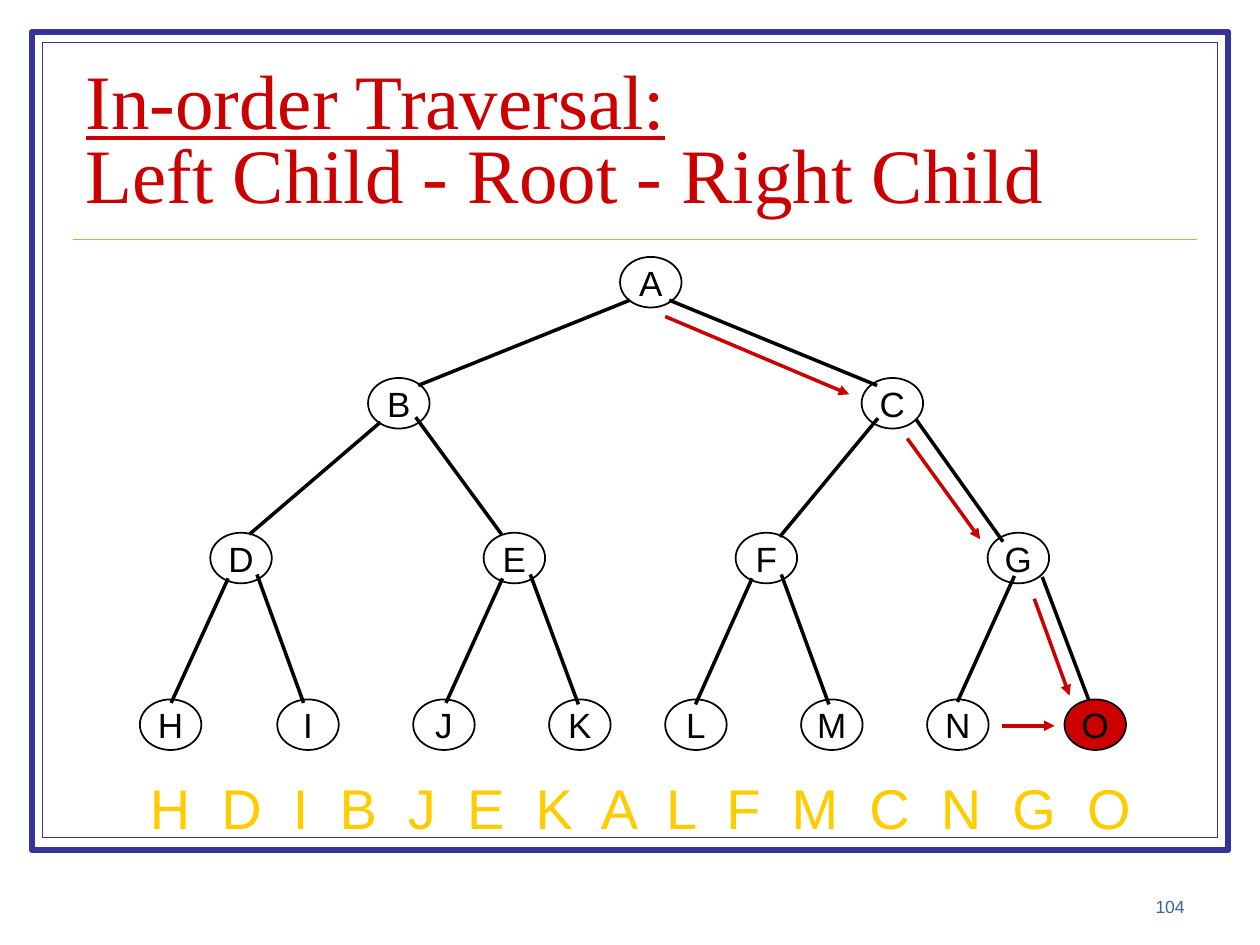
from lxml import etree
from pptx import Presentation
from pptx.dml.color import RGBColor
from pptx.enum.shapes import MSO_CONNECTOR, MSO_SHAPE
from pptx.enum.text import MSO_ANCHOR, MSO_AUTO_SIZE, PP_ALIGN
from pptx.oxml import parse_xml
from pptx.oxml.ns import nsdecls, qn
from pptx.util import Cm, Pt

COLORS = {
    "white": "FFFFFF", "black": "000000", "navy": "333399", "orange": "FF9933",
    "red": "CC0000", "yellow": "FFCC00", "blue": "336699",
}
RGB = {name: RGBColor.from_string(value) for name, value in COLORS.items()}


def add_line(ends, color, width, arrow=False):
    line = s.shapes.add_connector(MSO_CONNECTOR.STRAIGHT, *[Cm(v) for v in ends])
    line.line.color.rgb = RGB[color]
    line.line.width = Pt(width)
    if arrow:
        etree.SubElement(line.line._get_or_add_ln(), qn("a:tailEnd"), type="triangle")
    etree.SubElement(line.element.spPr, qn("a:effectLst"))


def style_run(r, font, size, color):
    r.font.name = font
    r.font.size = Pt(size)
    r.font.color.rgb = RGB[color]


prs = Presentation()
prs.slide_width, prs.slide_height = Cm(25.4), Cm(19.05)
s = prs.slides.add_slide(prs.slide_layouts[5])

# Double frame and rule under the title
for inset, bottom, weight in [(0.64, 17.14, 3.5), (0.86, 16.89, 0.75)]:
    frame = s.shapes.add_shape(MSO_SHAPE.RECTANGLE, Cm(inset), Cm(inset),
                               Cm(25.4 - 2 * inset), Cm(bottom - inset))
    frame.shadow.inherit = False
    frame.fill.solid()
    frame.fill.fore_color.rgb = RGB["white"]
    frame.line.color.rgb = RGB["navy"]
    frame.line.width = Pt(weight)
add_line((1.47, 4.83, 24.13, 4.83), "orange", 1)

# Title, raised above the frame
title = s.shapes.title
title.element.getparent().append(title.element)
title.left, title.top, title.width, title.height = Cm(1.47), Cm(1.32), Cm(22.66), Cm(3.18)
tf = title.text_frame
tf.text = "In-order Traversal:\vLeft Child - Root - Right Child"
tf.auto_size = MSO_AUTO_SIZE.NONE
tf.vertical_anchor = MSO_ANCHOR.MIDDLE
p = tf.paragraphs[0]
p.alignment = PP_ALIGN.LEFT
p.line_spacing = 0.8
for r in p.runs:
    style_run(r, "Times New Roman", 44, "red")
p.runs[0].font.underline = True

# Edge to the last node, behind the nodes
add_line((21.01, 11.63, 21.97, 14.17), "black", 2)

# Tree nodes: top of each level, then label and left of each node
levels = [
    (5.18, {"A": 12.5}),
    (7.62, {"B": 7.42, "C": 17.37}),
    (10.74, {"D": 4.24, "E": 9.75, "F": 14.83, "G": 19.91}),
    (14.1, {"H": 2.82, "I": 5.59, "J": 8.33, "K": 11.07,
            "L": 13.41, "M": 16.15, "N": 18.69, "O": 21.46}),
]
for top, nodes in levels:
    for label, left in nodes.items():
        node = s.shapes.add_shape(MSO_SHAPE.OVAL, Cm(left), Cm(top), Cm(1.24), Cm(1.02))
        node.shadow.inherit = False
        node.fill.solid()
        node.fill.fore_color.rgb = RGB["red" if label == "O" else "white"]
        node.line.color.rgb = RGB["black"]
        node.line.width = Pt(1)
        tf = node.text_frame
        tf.margin_left = tf.margin_right = tf.margin_top = tf.margin_bottom = 0
        tf.word_wrap = False
        tf.vertical_anchor = MSO_ANCHOR.MIDDLE
        tf.text = label
        p = tf.paragraphs[0]
        p.alignment = PP_ALIGN.CENTER
        style_run(p.runs[0], "Arial", 20, "black")

# Remaining edges, parent to child
edges = [
    (12.7, 6.05, 8.43, 7.77), (13.49, 6.05, 17.68, 7.77),
    (7.67, 8.51, 5.03, 10.77), (17.7, 8.43, 15.72, 10.82),
    (18.47, 8.46, 20.22, 10.92), (8.38, 8.41, 10.11, 10.77),
    (4.6, 11.66, 3.45, 14.17), (10.13, 11.66, 8.99, 14.17),
    (15.16, 11.66, 14.02, 14.2), (20.45, 11.61, 19.3, 14.15),
    (5.18, 11.58, 6.12, 14.17), (10.69, 11.58, 11.66, 14.2),
    (15.75, 11.58, 16.71, 14.2),
]
for ends in edges:
    add_line(ends, "black", 2)

# Traversal steps
steps = [
    (20.85, 12.07, 21.56, 14.02), (13.41, 6.38, 17.12, 7.95),
    (18.29, 8.84, 19.76, 10.87), (20.19, 14.63, 21.26, 14.63),
]
for ends in steps:
    add_line(ends, "red", 2, arrow=True)

# Visit order, letter-spaced and shadowed
order = s.shapes.add_textbox(Cm(2.69), Cm(15.47), Cm(20.47), Cm(1.6))
tf = order.text_frame
tf.word_wrap = False
tf.text = "H D I B J E K A L F M C N G O"
p = tf.paragraphs[0]
p.alignment = PP_ALIGN.CENTER
r = p.runs[0]
style_run(r, "Arial", 32, "yellow")
rPr = r.font._element
rPr.set("spc", "445")
rPr.find(qn("a:solidFill")).addnext(parse_xml(
    f'<a:effectLst {nsdecls("a")}><a:outerShdw dist="25400" dir="2700000">'
    f'<a:srgbClr val="{COLORS["black"]}"/></a:outerShdw></a:effectLst>'))

# Slide number
number = s.shapes.add_textbox(Cm(18.85), Cm(17.35), Cm(5.28), Cm(1.27))
tf = number.text_frame
tf.word_wrap = True
tf.vertical_anchor = MSO_ANCHOR.BOTTOM
tf.text = "104"
p = tf.paragraphs[0]
p.alignment = PP_ALIGN.RIGHT
style_run(p.runs[0], "Arial", 10, "blue")

prs.save("out.pptx")
